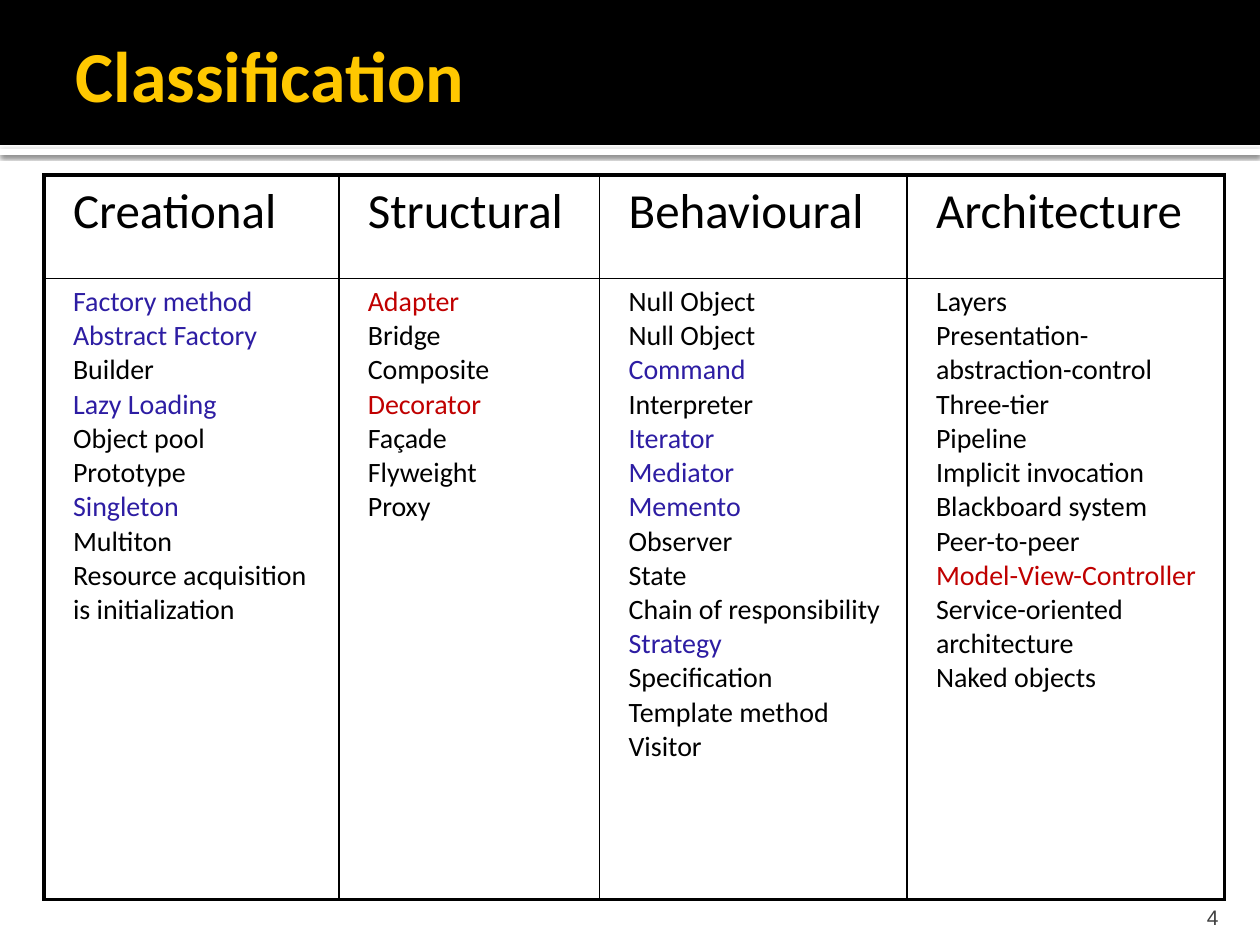
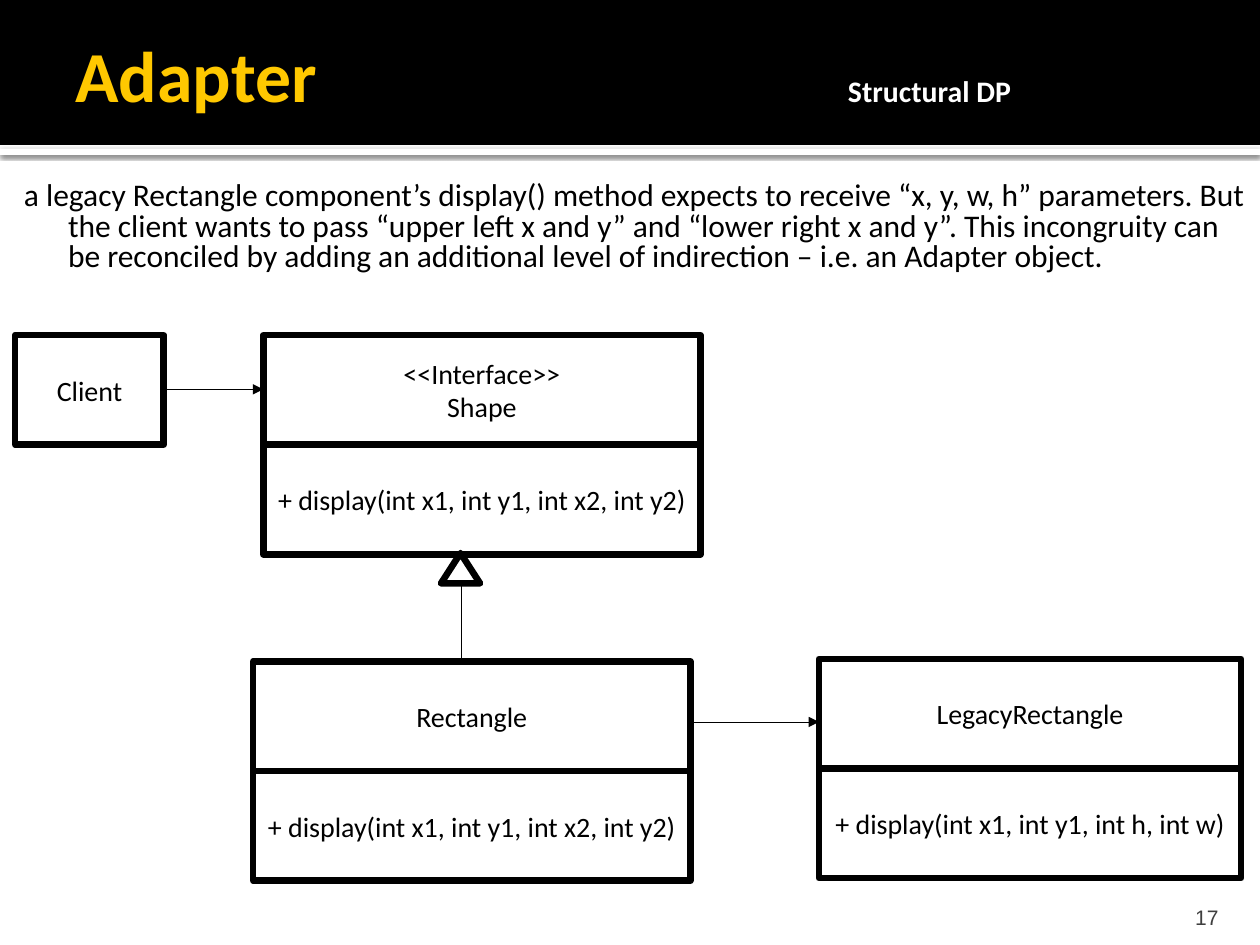
"""Build two slides on design patterns: a table of kinds and the Adapter."""
from dataclasses import dataclass
from typing import Any

from lxml import etree
from pptx import Presentation
from pptx.dml.color import RGBColor
from pptx.enum.shapes import MSO_CONNECTOR, MSO_SHAPE
from pptx.enum.text import MSO_ANCHOR, MSO_AUTO_SIZE, PP_ALIGN
from pptx.oxml.ns import qn
from pptx.util import Inches, Pt

RECT, PEAK = MSO_SHAPE.RECTANGLE, MSO_SHAPE.ISOSCELES_TRIANGLE
LINE = MSO_CONNECTOR.STRAIGHT
LEFT, MID, RIGHT = PP_ALIGN.LEFT, PP_ALIGN.CENTER, PP_ALIGN.RIGHT
TOP, HALF, LOW = MSO_ANCHOR.TOP, MSO_ANCHOR.MIDDLE, MSO_ANCHOR.BOTTOM
FIXED = MSO_AUTO_SIZE.NONE

COLORS = {"ink": "000000", "paper": "FFFFFF", "gold": "FFC800",
          "grey": "3F3F3F", "blue": "2D1DA3", "red": "C00000"}
FONT = "Calibri"
THICK, THIN, BOLD = 3.78, 0.5, 2.25
CELL_H = 0.87
DRAW = "+ display(int x1, int y1, int x2, int y2)"

GROUPS = {
    "Creational": ["Factory method", "Abstract Factory", "Builder",
                   "Lazy Loading", "Object pool", "Prototype", "Singleton",
                   "Multiton", "Resource acquisition is initialization"],
    "Structural": ["Adapter", "Bridge", "Composite", "Decorator", "Façade",
                   "Flyweight", "Proxy"],
    "Behavioural": ["Null Object", "Null Object", "Command", "Interpreter",
                    "Iterator", "Mediator", "Memento", "Observer", "State",
                    "Chain of responsibility", "Strategy", "Specification",
                    "Template method", "Visitor"],
    "Architecture": ["Layers", "Presentation-abstraction-control",
                     "Three-tier", "Pipeline", "Implicit invocation",
                     "Blackboard system", "Peer-to-peer",
                     "Model-View-Controller", "Service-oriented architecture",
                     "Naked objects"],
}
MARKS = {
    "blue": ["Factory method", "Abstract Factory", "Lazy Loading", "Singleton",
             "Command", "Iterator", "Mediator", "Memento", "Strategy"],
    "red": ["Adapter", "Decorator", "Model-View-Controller"],
}
TINTS = {name: tint for tint, names in MARKS.items() for name in names}
WIDTHS, HEIGHTS = [2.34, 2.07, 2.44, 2.52], [0.82, 4.93]
INTRO = ("a legacy Rectangle component’s display() method expects to receive "
         "“x, y, w, h” parameters. But the client wants to pass “upper left x "
         "and y” and “lower right x and y”. This incongruity can be reconciled "
         "by adding an additional level of indirection – i.e. an Adapter object.")


@dataclass
class Node:
    """A class box made of equal cells stacked downwards."""
    left: float
    top: float
    width: float
    cells: list[list[str]]


@dataclass
class Link:
    """A straight line, with or without an arrowhead."""
    start: tuple[float, float]
    end: tuple[float, float]
    arrow: bool = True


NODES = [
    Node(0.12, 2.66, 1.18, [["Client"]]),
    Node(2.09, 2.66, 3.47, [["<<Interface>>", "Shape"], [DRAW]]),
    Node(2.01, 5.25, 3.47, [["Rectangle"], [DRAW]]),
    Node(6.5, 5.23, 3.35, [["LegacyRectangle"],
                           ["+ display(int x1, int y1, int h, int w)"]]),
]
LINKS = [
    Link((1.3, 3.09), (2.09, 3.09)),
    Link((3.66, 4.63), (3.66, 5.25), False),
    Link((5.47, 5.73), (6.5, 5.73)),
]


def rgb(name: str) -> RGBColor:
    """Look up a colour."""
    return RGBColor.from_string(COLORS[name])


def apply(item: Any, **values: Any) -> None:
    """Set attributes from format values."""
    for key, value in values.items():
        setattr(item, key, value)


def node(home: Any, tag: str, **values: Any) -> Any:
    """Append an XML child with its attributes."""
    return etree.SubElement(home, qn(tag), {k: str(v) for k, v in values.items()})


def tint(home: Any, name: str) -> Any:
    """Append an XML colour and return it."""
    return node(home, "a:srgbClr", val=COLORS[name])


def place(item: Any, *box: float) -> None:
    """Move an item to left, top, width, height."""
    apply(item, **dict(zip(("left", "top", "width", "height"), map(Inches, box))))


def frame(text: Any, anchor: Any, *pads: float) -> None:
    """Set wrapping, anchor and insets of a text frame."""
    apply(text, word_wrap=True, auto_size=FIXED, vertical_anchor=anchor)
    sides = ("margin_left", "margin_top", "margin_right", "margin_bottom")
    apply(text, **dict(zip(sides, map(Inches, pads))))


def write(para: Any, text: str, size: float, color: str = "ink",
          font: str = FONT, bold: bool = False, align: Any = LEFT) -> None:
    """Add one styled run to a paragraph."""
    para.alignment = align
    run = para.add_run()
    run.text = text
    apply(run.font, name=font, size=Pt(size), bold=bold)
    run.font.color.rgb = rgb(color)


def fill_lines(text: Any, lines: list[str], size: float, indent: int = 0,
               **style: Any) -> None:
    """Write one paragraph for each line."""
    for pos, line in enumerate(lines):
        para = text.paragraphs[0] if pos == 0 else text.add_paragraph()
        if indent:
            para._p.get_or_add_pPr().set("marL", str(indent))
        write(para, line, size, TINTS.get(line, "ink") if indent else "ink", **style)


def shape(slide: Any, kind: Any, box: tuple[float, ...], fill: str = "",
          line: float = 0) -> Any:
    """Draw a preset shape."""
    item = slide.shapes.add_shape(kind, *map(Inches, box))
    item.shadow.inherit = False
    if fill:
        item.fill.solid()
        item.fill.fore_color.rgb = rgb(fill)
    else:
        item.fill.background()
    if line:
        item.line.color.rgb = rgb("ink")
        item.line.width = Pt(line)
    else:
        item.line.fill.background()
    return item


def connect(slide: Any, link: Link) -> None:
    """Draw a thin line between two points."""
    item = slide.shapes.add_connector(LINE, *map(Inches, link.start + link.end))
    item.line.color.rgb = rgb("ink")
    item.line.width = Pt(THIN)
    if link.arrow:
        node(item.line._get_or_add_ln(), "a:tailEnd", type="triangle")
    node(item._element.spPr, "a:effectLst")


def start(deck: Any, layout: int, title: str, number: str) -> Any:
    """Add a slide with bands, title and page number."""
    slide = deck.slides.add_slide(deck.slide_layouts[layout])
    strip = shape(slide, RECT, (0, 1.18, 10, 0.05), "paper")
    glow = node(strip._element.spPr.find(qn("a:effectLst")), "a:outerShdw",
                blurRad=Pt(2.5), dist=Pt(0.8), dir=5400000, rotWithShape=0)
    node(tint(glow, "ink"), "a:alpha", val=60000)
    shape(slide, RECT, (0, 0, 10, 1.15), "ink")
    page = slide.shapes.add_textbox(*map(Inches, (8.97, 7.08, 0.8, 0.3)))
    frame(page.text_frame, LOW, 0.1, 0.05, 0.1, 0)
    write(page.text_frame.paragraphs[0], number, 12, "grey", "Arial", align=RIGHT)
    head = slide.shapes.title
    place(head, 0.5, 0.17, 9, 0.83)
    frame(head.text_frame, HALF, 0.1, 0.05, 0.05, 0.05)
    write(head.text_frame.paragraphs[0], title, 41, "gold", bold=True)
    slide.shapes._spTree.append(head._element)
    return slide


def edge(cell: Any, row: int, col: int) -> None:
    """Rule a cell, with heavy lines on the table's rim."""
    rims = {"L": col == 0, "R": col == len(WIDTHS) - 1,
            "T": row == 0, "B": row == len(HEIGHTS) - 1}
    for side, rim in rims.items():
        line = node(cell._tc.get_or_add_tcPr(), f"a:ln{side}",
                    w=Pt(BOLD if rim else 1))
        tint(node(line, "a:solidFill"), "ink")
    cell.fill.background()


def draw_table(slide: Any) -> None:
    """Draw the table of pattern groups."""
    table = slide.shapes.add_table(
        len(HEIGHTS), len(WIDTHS),
        *map(Inches, (0.35, 1.39, sum(WIDTHS), sum(HEIGHTS)))).table
    apply(table, first_row=False, horz_banding=False)
    for row, height in zip(table.rows, HEIGHTS):
        row.height = Inches(height)
    for col, (name, items) in enumerate(GROUPS.items()):
        table.columns[col].width = Inches(WIDTHS[col])
        for row, (lines, size) in enumerate([([name], 28), (items, 16)]):
            cell = table.cell(row, col)
            cell.vertical_anchor = TOP
            fill_lines(cell.text_frame, lines, size, Inches(0.13))
            edge(cell, row, col)


def draw_node(slide: Any, item: Node) -> None:
    """Draw a class box cell by cell."""
    for pos, lines in enumerate(item.cells):
        box = (item.left, item.top + pos * CELL_H, item.width, CELL_H)
        cell = shape(slide, RECT, box, "paper", THICK)
        apply(cell.text_frame, word_wrap=False, vertical_anchor=HALF)
        fill_lines(cell.text_frame, lines, 16, align=MID)


def draw_intro(slide: Any) -> None:
    """Write the opening text with a hanging indent."""
    body = slide.placeholders[1]
    place(body, 0, 1.35, 10, 1.02)
    frame(body.text_frame, TOP, 0.06, 0.1, 0.1, 0.05)
    para = body.text_frame.paragraphs[0]
    apply(para, line_spacing=0.8, space_before=Pt(0))
    props = para._p.get_or_add_pPr()
    props.set("marL", str(Inches(0.48)))
    props.set("indent", str(Inches(-0.35)))
    node(props, "a:buNone")
    write(para, INTRO, 18)


def add_tag(slide: Any, text: str) -> None:
    """Put a small label after the title at a tab stop."""
    para = slide.shapes.title.text_frame.paragraphs[0]
    stops = node(para._p.get_or_add_pPr(), "a:tabLst")
    node(stops, "a:tab", pos=Inches(6.13), algn="l")
    write(para, "\t" + text, 17, "paper", bold=True)


def main() -> None:
    """Build and save the deck."""
    deck = Presentation()
    apply(deck, slide_width=Inches(10), slide_height=Inches(7.5))
    draw_table(start(deck, 5, "Classification", "4"))
    slide = start(deck, 1, "Adapter", "17")
    add_tag(slide, "Structural DP")
    draw_intro(slide)
    for item in NODES:
        draw_node(slide, item)
    shape(slide, PEAK, (3.5, 4.39, 0.31, 0.24), line=THICK)
    for link in LINKS:
        connect(slide, link)
    deck.save("out.pptx")


if __name__ == "__main__":
    main()
